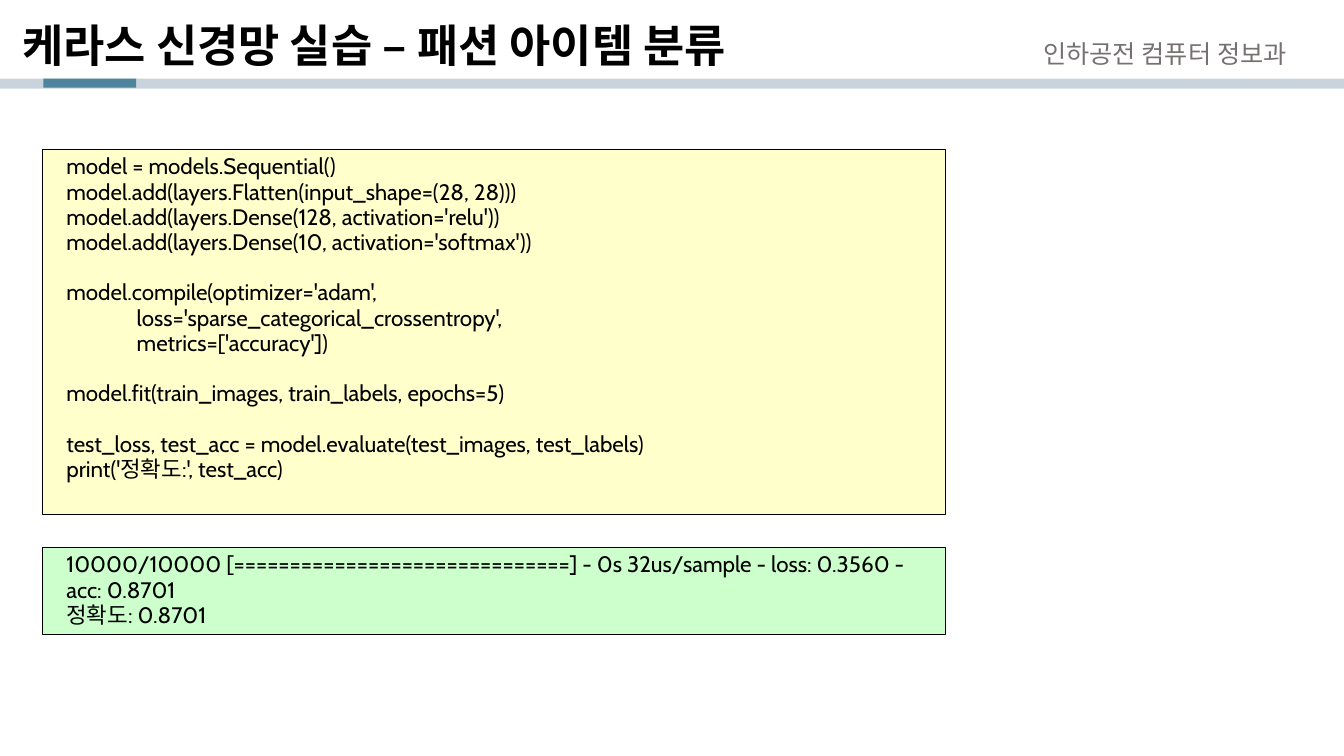
from dataclasses import dataclass
from typing import Optional

from lxml import etree
from pptx import Presentation
from pptx import util as u
from pptx.dml.color import RGBColor
from pptx.enum import shapes, text
from pptx.oxml import ns

BLACK = RGBColor(0x00, 0x00, 0x00)
GRAY = RGBColor(0x76, 0x71, 0x71)
BAR = RGBColor(0x98, 0xAC, 0xBD)
ACCENT = RGBColor(0x4E, 0x84, 0x9C)
YELLOW = RGBColor(0xFF, 0xFF, 0xCC)
GREEN = RGBColor(0xCC, 0xFF, 0xCC)
KOREAN_FONT = "Noto Sans CJK KR"
LINE_PITCH = u.Pt(18)


@dataclass
class Box:
    left: float
    top: float
    width: float
    height: float
    fill: RGBColor
    line: Optional[RGBColor] = None
    opacity: int = 100


@dataclass
class Listing:
    """A bordered box whose blocks of lines are set one line apart."""
    box: Box
    blocks: list[list[str]]


BARS = [
    Box(0, 0.78, 13.33, 0.1, BAR, opacity=53),
    Box(0.43, 0.78, 0.92, 0.09, ACCENT),
]
LISTINGS = [
    Listing(Box(0.42, 1.48, 8.96, 3.62, YELLOW, BLACK), [
        ["model = models.Sequential()",
         "model.add(layers.Flatten(input_shape=(28, 28)))",
         "model.add(layers.Dense(128, activation='relu'))",
         "model.add(layers.Dense(10, activation='softmax'))"],
        ["model.compile(optimizer='adam',",
         "              loss='sparse_categorical_crossentropy',",
         "              metrics=['accuracy'])"],
        ["model.fit(train_images, train_labels, epochs=5)"],
        ["test_loss, test_acc = model.evaluate(test_images, test_labels)",
         "print('정확도:', test_acc)"],
    ]),
    Listing(Box(0.42, 5.43, 8.96, 0.87, GREEN, BLACK), [
        ["10000/10000 [==============================] - 0s 32us/sample - loss: 0.3560 -",
         "acc: 0.8701",
         "정확도: 0.8701"],
    ]),
]


def add_box(slide, box: Box):
    sp = slide.shapes.add_shape(
        shapes.MSO_SHAPE.RECTANGLE, u.Inches(box.left), u.Inches(box.top),
        u.Inches(box.width), u.Inches(box.height))
    sp.shadow.inherit = False
    sp.fill.solid()
    sp.fill.fore_color.rgb = box.fill
    if box.opacity < 100:
        color = sp.fill._xPr.find(".//" + ns.qn("a:srgbClr"))
        etree.SubElement(color, ns.qn("a:alpha"), val=str(box.opacity * 1000))
    if box.line is None:
        sp.line.fill.background()
    else:
        sp.line.color.rgb = box.line
        sp.line.width = u.Pt(0.75)
    return sp


def write(p, content: str, *, size: float, font: str, color: RGBColor = BLACK,
          bold: bool = False, spacing=None, indent: float = 0, before=None) -> None:
    p.alignment = text.PP_ALIGN.LEFT
    p.line_spacing = spacing
    p.space_before = before
    if indent:
        p._p.get_or_add_pPr().set("marL", str(u.Inches(indent)))
    r = p.add_run()
    r.text = content
    r.font.size = u.Pt(size)
    r.font.name = font
    r.font.bold = bold
    r.font.color.rgb = color
    etree.SubElement(r._r.get_or_add_rPr(), ns.qn("a:ea"), typeface=KOREAN_FONT)


def add_listing(slide, listing: Listing) -> None:
    tf = add_box(slide, listing.box).text_frame
    tf.word_wrap = True
    tf.vertical_anchor = text.MSO_ANCHOR.TOP
    p = tf.paragraphs[0]
    for b, block in enumerate(listing.blocks):
        for i, line in enumerate(block):
            if b or i:
                p = tf.add_paragraph()
            write(p, line, size=16, font="Cabin", spacing=LINE_PITCH, indent=0.14,
                  before=LINE_PITCH if b and i == 0 else None)


def add_header(slide) -> None:
    title = slide.shapes.add_textbox(
        u.Inches(0.06), u.Inches(0.09), u.Inches(13.22), u.Inches(0.77))
    tf = title.text_frame
    tf.word_wrap = True
    tf.vertical_anchor = text.MSO_ANCHOR.MIDDLE
    tf.margin_left = u.Inches(0.16)
    write(tf.paragraphs[0], "케라스 신경망 실습 – 패션 아이템 분류",
          size=32, font="Calibri", bold=True, spacing=0.9)

    department = slide.shapes.add_textbox(
        u.Inches(10.25), u.Inches(0.33), u.Inches(2.91), u.Inches(0.4))
    tf = department.text_frame
    tf.word_wrap = False
    tf.auto_size = text.MSO_AUTO_SIZE.SHAPE_TO_FIT_TEXT
    write(tf.paragraphs[0], "인하공전 컴퓨터 정보과",
          size=18, font=KOREAN_FONT, color=GRAY)


def main() -> None:
    prs = Presentation()
    prs.slide_width = u.Inches(13.33)
    prs.slide_height = u.Inches(7.5)
    slide = prs.slides.add_slide(prs.slide_layouts[6])
    for bar in BARS:
        add_box(slide, bar)
    add_header(slide)
    for listing in LISTINGS:
        add_listing(slide, listing)
    prs.save("out.pptx")


if __name__ == "__main__":
    main()
